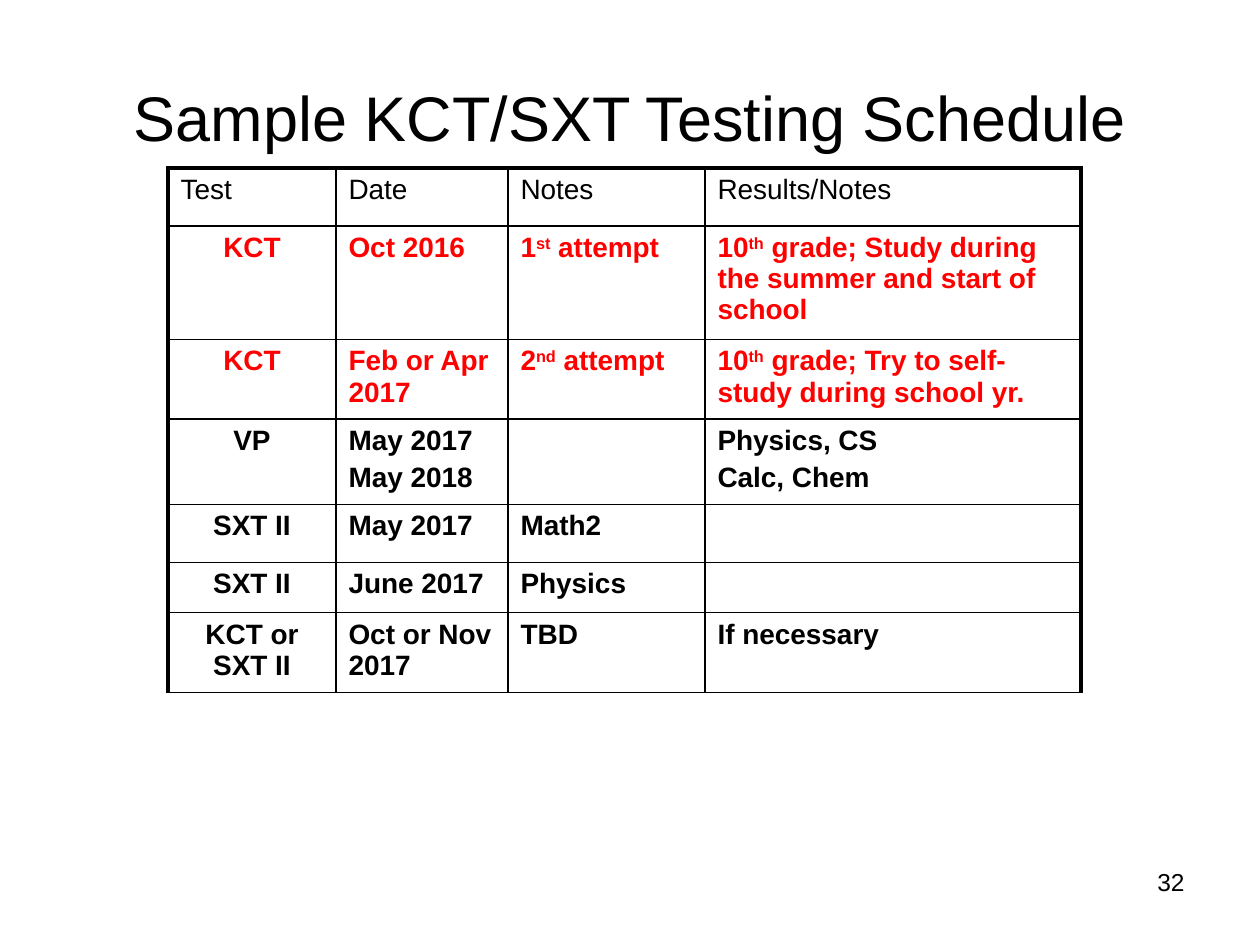
from lxml import etree
from pptx import Presentation
from pptx import util as u
from pptx.dml.color import RGBColor
from pptx.enum import text
from pptx.oxml import ns

COLORS = {"ink": "000000", "alert": "FF0000"}
SCALE = 914400 / 126  # EMU per px
LEFT, CENTER, RIGHT = text.PP_ALIGN.LEFT, text.PP_ALIGN.CENTER, text.PP_ALIGN.RIGHT


def px(length):
    return u.Emu(round(length * SCALE))


def write(frame, content, size=16, color="ink", bold=False, align=LEFT, gap=0):
    """Each line is a paragraph; text between ^ marks is superscript."""
    frame.word_wrap = True
    for i, line in enumerate(content.split("\n")):
        paragraph = frame.add_paragraph() if i else frame.paragraphs[0]
        paragraph.alignment = align
        paragraph.space_before = u.Pt(gap if i else 0)
        for j, part in enumerate(line.split("^")):
            run = paragraph.add_run()
            run.text = part
            run.font.name, run.font.size, run.font.bold = "Arial", u.Pt(size), bold
            run.font.color.rgb = RGBColor.from_string(COLORS[color])
            if j % 2:
                run.font._element.set("baseline", "30000")


class SlideBuilder:
    def __init__(self, deck):
        self.slide = deck.slides.add_slide(deck.slide_layouts[6])

    def label(self, content, box, anchor=text.MSO_ANCHOR.TOP, **style):
        frame = self.slide.shapes.add_textbox(*map(px, box)).text_frame
        frame.vertical_anchor = anchor
        write(frame, content, **style)

    def border(self, cell, side, width):
        line = etree.SubElement(cell._tc.get_or_add_tcPr(), ns.qn(f"a:ln{side}"),
                                w=str(u.Pt(width)))
        fill = etree.SubElement(line, ns.qn("a:solidFill"))
        etree.SubElement(fill, ns.qn("a:srgbClr"), val=COLORS["ink"])

    def table(self, rows, left, top, widths, heights):
        table = self.slide.shapes.add_table(
            len(rows), len(widths), px(left), px(top),
            px(sum(widths)), px(sum(heights))).table
        table.first_row = table.horz_banding = False
        for column, width in zip(table.columns, widths):
            column.width = px(width)
        for row, height in zip(table.rows, heights):
            row.height = px(height)
        last = len(widths) - 1
        for r, (color, *contents) in enumerate(rows):
            for c, content in enumerate(contents):
                cell = table.cell(r, c)
                # Heavy outer frame, open at the bottom
                for side, heavy in (("L", c == 0), ("R", c == last),
                                    ("T", r == 0), ("B", False)):
                    self.border(cell, side, 2.25 if heavy else 1)
                cell.fill.background()
                if content:
                    write(cell.text_frame, content, color=color, bold=r > 0, gap=3,
                          align=CENTER if r and c == 0 else LEFT)


SCHEDULE = [
    ("ink", "Test", "Date", "Notes", "Results/Notes"),
    ("alert", "KCT", "Oct 2016", "1^st^ attempt",
     "10^th^ grade; Study during the summer and start of school"),
    ("alert", "KCT", "Feb or Apr 2017", "2^nd^ attempt",
     "10^th^ grade; Try to self-study during school yr."),
    ("ink", "VP", "May 2017\nMay 2018", "", "Physics, CS\nCalc, Chem"),
    ("ink", "SXT II", "May 2017", "Math2", ""),
    ("ink", "SXT II", "June 2017", "Physics", ""),
    ("ink", "KCT or SXT II", "Oct or Nov 2017", "TBD", "If necessary"),
]


def main():
    deck = Presentation()
    deck.slide_width, deck.slide_height = px(1260), px(945)
    page = SlideBuilder(deck)

    # Title
    page.label("Sample KCT/SXT Testing Schedule", (63, 37, 1134, 158),
               anchor=text.MSO_ANCHOR.MIDDLE, size=36, align=CENTER)

    # Testing schedule
    page.table(SCHEDULE, 168, 168, widths=(168, 172, 197, 376),
               heights=(58, 50, 50, 50, 58, 50, 50))

    # Page number
    page.label("32", (903, 861, 294, 66), size=14, align=RIGHT)

    deck.save("out.pptx")


if __name__ == "__main__":
    main()
